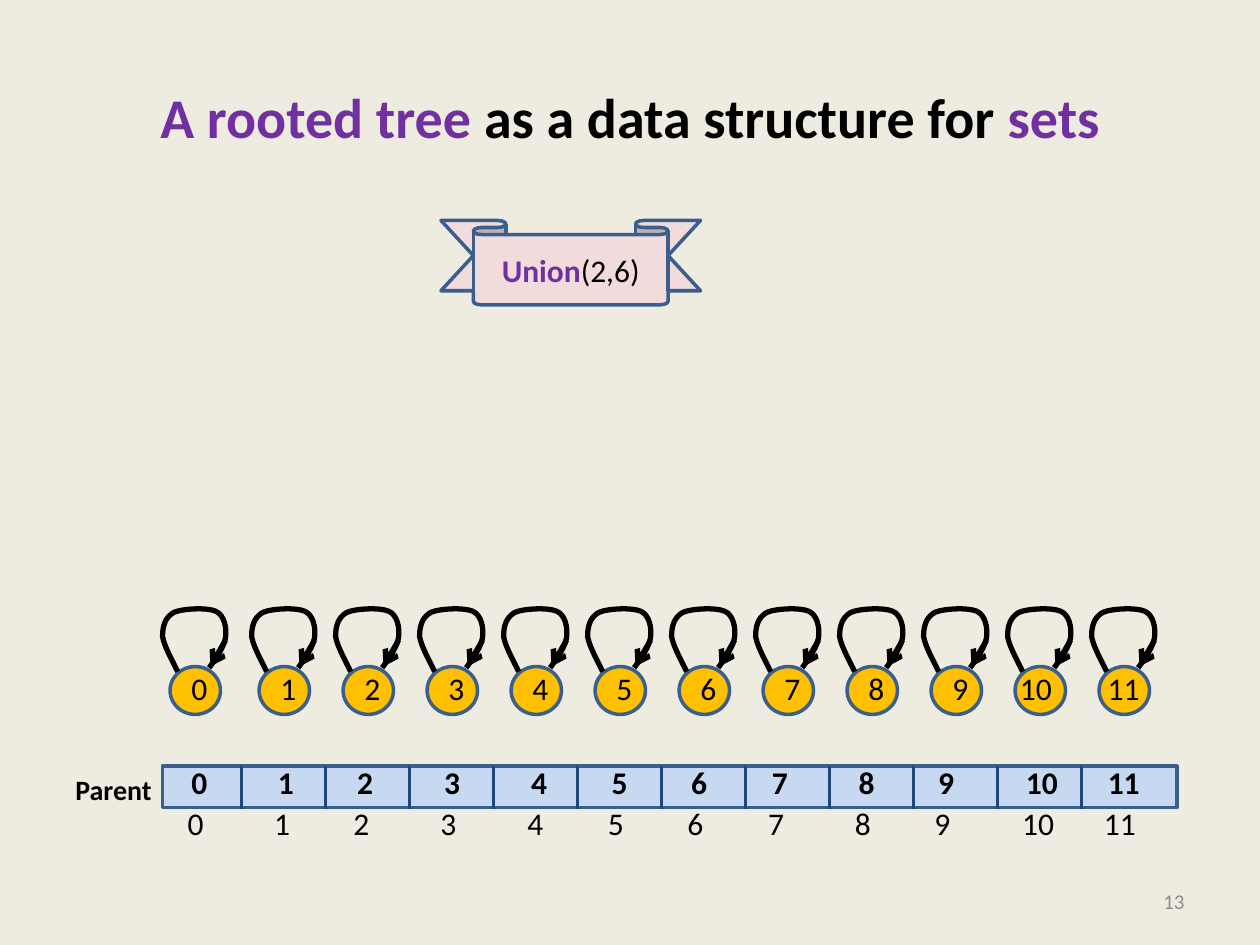
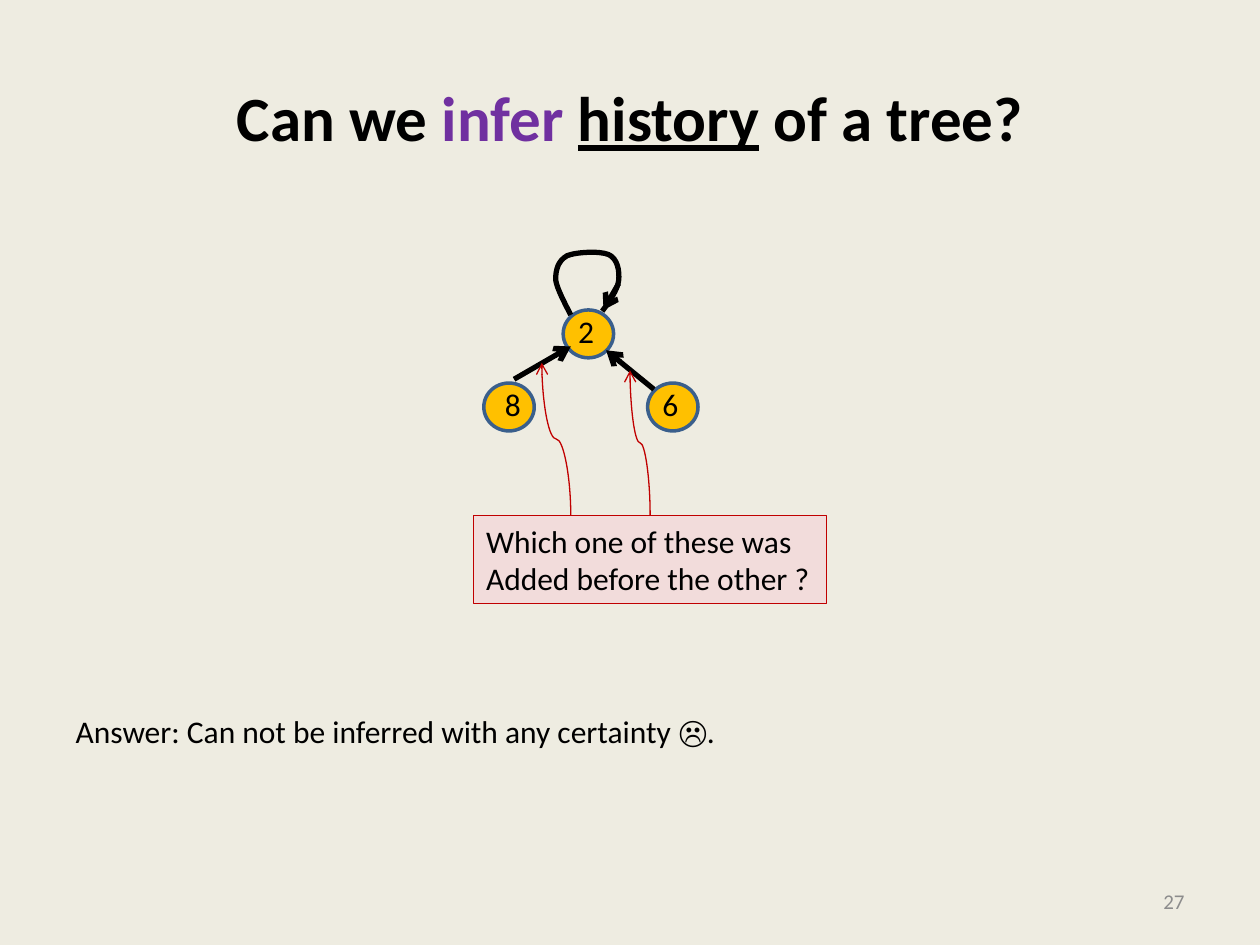
import pptx
import pptx.dml.color
import pptx.enum.shapes
import pptx.enum.text
import pptx.oxml
import pptx.oxml.ns
import pptx.util
from dataclasses import dataclass
from lxml import etree

SHAPE = pptx.enum.shapes.MSO_SHAPE
CONNECTOR = pptx.enum.shapes.MSO_CONNECTOR
ALIGN = pptx.enum.text.PP_ALIGN
ANCHOR = pptx.enum.text.MSO_ANCHOR
qn = pptx.oxml.ns.qn


@dataclass(frozen=True)
class Theme:
    font: str = "Calibri"
    paper: str = "EEECE1"
    ink: str = "000000"
    accent: str = "7030A0"
    muted: str = "8C8C8C"
    node: str = "FFC000"
    outline: str = "3A5F8C"
    cell: str = "C6D9F1"
    divider: str = "1F497D"
    callout: str = "F2DCDB"
    alert: str = "C00000"
    text: int = 18
    label: int = 16
    footer: int = 12


THEME = Theme()
ACCENT = {"color": THEME.accent}
BOLD = {"bold": True}

SETS = {
    "title": [("A rooted tree ", ACCENT), ("as a data structure for ", {}), ("sets", ACCENT)],
    "title_size": 32,
    "number": "13",
    "operation": [("Union", {**ACCENT, **BOLD}), ("(2,6)", {})],
    "array": "Parent",
    "elements": [str(element) for element in range(12)],
    "label_shifts": {"10": -0.06, "11": -0.03},
    "stops": [0.75, 1.38, 2.07, 2.76, 3.4, 4.03, 4.67, 5.36, 5.99, 6.75, 7.4],
}
HISTORY = {
    "title": [("Can we ", {}), ("infer ", ACCENT), ("history", {"underline": True}), (" of a tree?", {})],
    "title_size": 36,
    "number": "27",
    "nodes": [("2", 4.47, 2.46, 0.02, True), ("6", 5.14, 3.04, 0.02, False),
              ("8", 3.84, 3.04, 0.07, False)],
    "edges": [((5.19, 3.09), (4.81, 2.78)), ((4.08, 3.01), (4.53, 2.75))],
    "question": ["Which one of these was", "Added before the other ?"],
    "pointers": [((4.53, 4.09), (4.3, 2.88)), ((5.16, 4.09), (5, 2.94))],
    "answer": "Answer: Can not be inferred with any certainty ☹.",
}

COLUMNS, ROWS = 10, 7.5
UNIT = pptx.util.Inches(1)
PITCH = 2 / 3
NODE_WIDTH, NODE_HEIGHT = 0.4, 0.38
LOOP_START = (0.06, 0.04)
LOOP_CURVES = [
    (0.01, -0.06), (-0.05, -0.17), (-0.06, -0.24),
    (-0.06, -0.32), (-0.04, -0.39), (0.03, -0.43),
    (0.1, -0.46), (0.29, -0.47), (0.36, -0.44),
    (0.43, -0.41), (0.45, -0.31), (0.44, -0.23),
    (0.43, -0.16), (0.37, -0.07), (0.31, 0.01),
]
LOOP_HEAD = ((0.44, -0.21), (0.32, 0))


def grid(*lengths):
    return [round(length * UNIT) for length in lengths]


def rgb(color):
    return pptx.dml.color.RGBColor.from_string(color)


def write(paragraph, runs, size=THEME.text, align=ALIGN.LEFT):
    paragraph.alignment = align
    for words, changes in runs:
        run = paragraph.add_run()
        run.text = words
        formats = {"name": THEME.font, "size": pptx.util.Pt(size), "bold": False,
                   "color": THEME.ink, **changes}
        run.font.color.rgb = rgb(formats.pop("color"))
        for attribute, value in formats.items():
            setattr(run.font, attribute, value)


def add_text(shapes, box, runs, size=THEME.text, align=ALIGN.LEFT, wrap=False, anchor=ANCHOR.TOP):
    frame = shapes.add_textbox(*grid(*box)).text_frame
    frame.word_wrap = wrap
    frame.vertical_anchor = anchor
    write(frame.paragraphs[0], runs, size, align)
    return frame.paragraphs[0]


def stroke(line, color, width):
    line.color.rgb = rgb(color)
    line.width = pptx.util.Pt(width)


def add_block(shapes, kind, box, fill, outline=THEME.outline, width=2):
    block = shapes.add_shape(kind, *grid(*box))
    block.shadow.inherit = False
    block.fill.solid()
    block.fill.fore_color.rgb = rgb(fill)
    stroke(block.line, outline, width)
    return block


def add_line(shapes, start, end, color=THEME.ink, width=3, arrow=True, kind=CONNECTOR.STRAIGHT):
    line = shapes.add_connector(kind, *grid(*start, *end))
    stroke(line.line, color, width)
    if arrow:
        head = etree.SubElement(line.line._get_or_add_ln(), qn("a:tailEnd"))
        head.set("type", "arrow")
    etree.SubElement(line._element.spPr, qn("a:effectLst"))
    return line


def add_rising_curve(shapes, start, end):
    middle_x, middle_y = [(a + b) / 2 for a, b in zip(start, end)]
    half_shift, half_rise = (start[0] - end[0]) / 2, (start[1] - end[1]) / 2
    curve = add_line(shapes, (middle_x - half_rise, middle_y + half_shift),
                     (middle_x + half_rise, middle_y - half_shift),
                     THEME.alert, 0.75, kind=CONNECTOR.CURVE)
    curve._element.spPr.find(qn("a:xfrm")).set("rot", str(270 * 60000))


def add_loop(shapes, x, y):
    outline = shapes.build_freeform(*grid(x + LOOP_START[0], y + LOOP_START[1]))
    outline.add_line_segments([grid(x + dx, y + dy) for dx, dy in LOOP_CURVES], close=False)
    loop = outline.convert_to_shape()
    segments = list(loop._element.iter(qn("a:lnTo")))
    for first in range(0, len(segments), 3):
        curve = etree.SubElement(segments[first].getparent(), qn("a:cubicBezTo"))
        for segment in segments[first:first + 3]:
            curve.append(segment[0])
            segment.getparent().remove(segment)
    loop.shadow.inherit = False
    loop.fill.background()
    stroke(loop.line, THEME.ink, 3)
    add_line(shapes, *[(x + dx, y + dy) for dx, dy in LOOP_HEAD])


def add_node(shapes, label, x, y, label_shift, looped):
    add_block(shapes, SHAPE.OVAL, (x, y, NODE_WIDTH, NODE_HEIGHT), THEME.node)
    if looped:
        add_loop(shapes, x, y)
    label_width = 0.2 + 0.13 * len(label)
    add_text(shapes, (x + label_shift, y - 0.03, label_width, 0.4), [(label, {})])


def place(placeholder, box):
    for attribute, value in zip(("left", "top", "width", "height"), grid(*box)):
        setattr(placeholder, attribute, value)


def start_slide(deck, layout, content):
    slide = deck.slides.add_slide(deck.slide_layouts[layout])
    title = slide.shapes.title
    place(title, (0.5, 0.3, COLUMNS - 1, 1.25))
    title.text_frame.vertical_anchor = ANCHOR.MIDDLE
    write(title.text_frame.paragraphs[0],
          [(words, {**BOLD, **changes}) for words, changes in content["title"]],
          content["title_size"], ALIGN.CENTER)
    add_text(slide.shapes, (7.17, ROWS - 0.55, 2.33, 0.4),
             [(content["number"], {"color": THEME.muted})],
             THEME.footer, ALIGN.RIGHT, True, ANCHOR.MIDDLE)
    return slide


def add_group(slide):
    return slide.shapes.add_group_shape().shapes


def add_array_row(shapes, left, top, changes):
    row = add_text(shapes, (left, top, 7.89, 0.4),
                   [("\t".join(SETS["elements"]), changes)], wrap=True)
    stops = etree.SubElement(row._p.get_or_add_pPr(), qn("a:tabLst"))
    for position in grid(*SETS["stops"]):
        stop = etree.SubElement(stops, qn("a:tab"))
        stop.set("pos", str(position))
        stop.set("algn", "ctr")


def build_sets(deck):
    slide = start_slide(deck, 5, SETS)
    elements = SETS["elements"]
    for column, element in enumerate(elements):
        x = 1.39 + column * PITCH if column else 1.35
        add_node(add_group(slide), element, x, 5.29, SETS["label_shifts"].get(element, 0.07), True)

    array = add_group(slide)
    add_array_row(array, 1.39, 6.33, {})
    add_block(array, SHAPE.RECTANGLE, (1.29, 6.08, 8.05, 0.33), THEME.cell)
    for column in range(1, len(elements)):
        x = 1.25 + column * PITCH
        add_line(array, (x, 6.08), (x, 6.42), THEME.divider, 1.5, arrow=False)
    add_text(array, (0.5, 6.08, 0.81, 0.37), [(SETS["array"], BOLD)], THEME.label)
    add_array_row(slide.shapes, 1.42, 6.01, BOLD)

    operation = add_block(slide.shapes, SHAPE.DOWN_RIBBON, (3.5, 1.75, 2.06, 0.67), THEME.callout)
    operation.adjustments[0], operation.adjustments[1] = 0.167, 0.75
    operation.text_frame.vertical_anchor = ANCHOR.MIDDLE
    write(operation.text_frame.paragraphs[0], SETS["operation"], align=ALIGN.CENTER)


def build_history(deck):
    slide = start_slide(deck, 1, HISTORY)
    answer = slide.placeholders[1]
    place(answer, (0.5, 1.75, COLUMNS - 1, 4.95))
    answer.text_frame.margin_top = pptx.util.Inches(3.9)
    paragraph = answer.text_frame.paragraphs[0]
    properties = paragraph._p.get_or_add_pPr()
    properties.set("marL", "0")
    properties.set("indent", "0")
    etree.SubElement(properties, qn("a:buNone"))
    paragraph.space_before = pptx.util.Pt(0)
    write(paragraph, [(HISTORY["answer"], {})])

    tree = add_group(slide)
    for node in HISTORY["nodes"]:
        add_node(tree, *node)
    for start, end in HISTORY["edges"]:
        add_line(tree, start, end)

    inquiry = add_group(slide)
    question = add_block(inquiry, SHAPE.RECTANGLE, (3.76, 4.09, 2.8, 0.7),
                         THEME.callout, THEME.alert, 0.75).text_frame
    question.word_wrap = False
    question.vertical_anchor = ANCHOR.TOP
    for index, words in enumerate(HISTORY["question"]):
        write(question.add_paragraph() if index else question.paragraphs[0], [(words, {})])
    for start, end in HISTORY["pointers"]:
        add_rising_curve(inquiry, start, end)


def main():
    deck = pptx.Presentation()
    deck.slide_width, deck.slide_height = grid(COLUMNS, ROWS)
    paper = deck.slide_master.background.fill
    paper.solid()
    paper.fore_color.rgb = rgb(THEME.paper)
    build_sets(deck)
    build_history(deck)
    deck.save("out.pptx")


if __name__ == "__main__":
    main()
